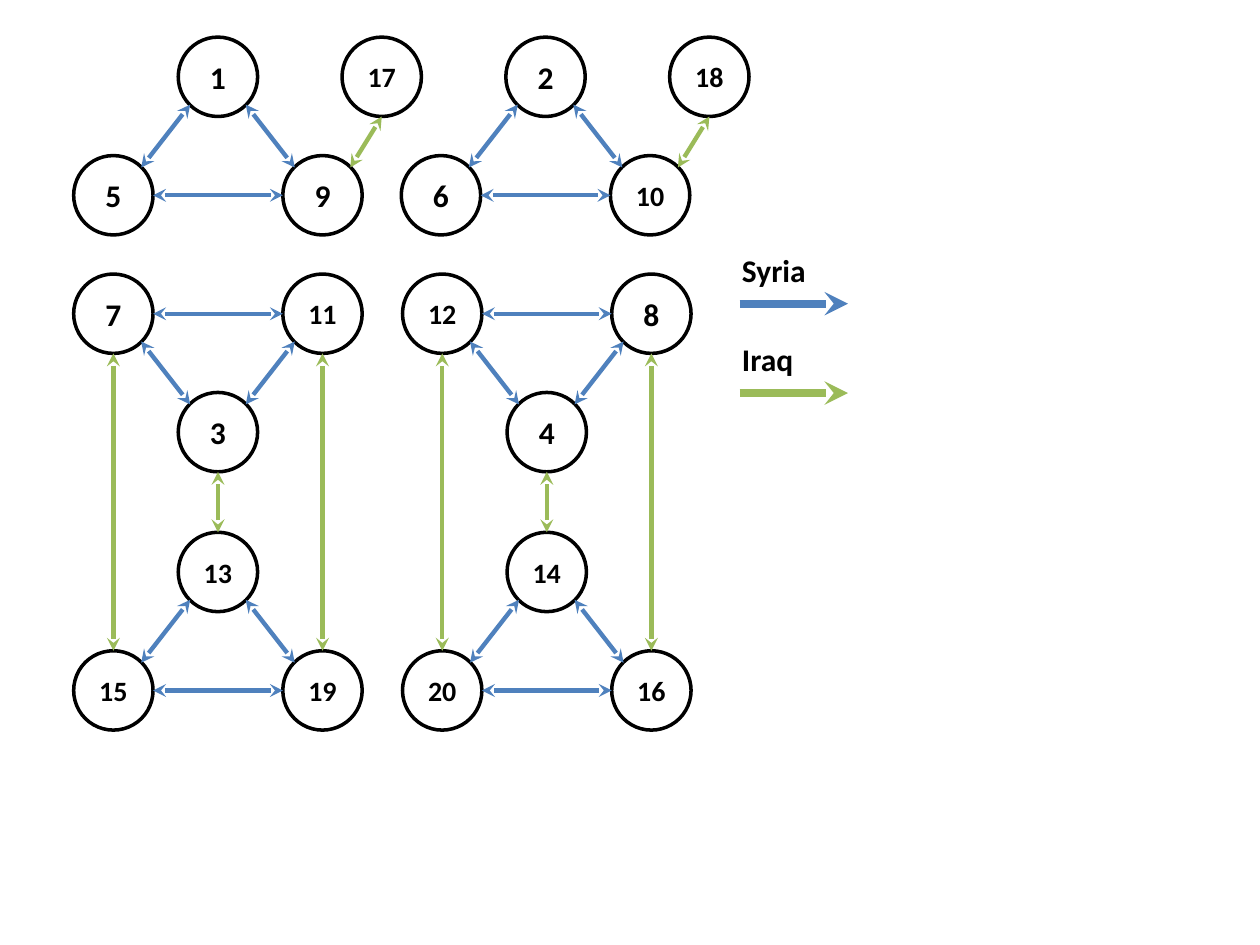
"""Build a slide of three-node rings, with blue links inside rings and green links between them."""
from lxml.etree import SubElement
from pptx import Presentation
from pptx.dml.color import RGBColor
from pptx.enum.shapes import MSO_CONNECTOR as Link, MSO_SHAPE as Shape
from pptx.enum.text import MSO_ANCHOR as Anchor, PP_ALIGN as Align
from pptx.oxml.ns import qn
from pptx.util import Inches, Pt

BLUE, GREEN, BLACK, WHITE = "4F81BD", "9BBB59", "000000", "FFFFFF"
SIZE, SIDE, DIAG = 0.63, 0.83, 0.7
hue = RGBColor.from_string

deck = Presentation()
deck.slide_width, deck.slide_height = Inches(10), Inches(7.5)
slide = deck.slides.add_slide(deck.slide_layouts[6])
shapes = slide.shapes


def arrow(start, end, color, width=2.5, both=True):
    """Draw a straight arrow with one or two stealth heads."""
    line = shapes.add_connector(Link.STRAIGHT, *[Inches(v) for v in (*start, *end)])
    line.line.color.rgb = hue(color)
    line.line.width = Pt(width)
    props = line.line._get_or_add_ln()
    for tag in ["a:headEnd", "a:tailEnd"] if both else ["a:tailEnd"]:
        SubElement(props, qn(tag), type="stealth")
    SubElement(line._element.spPr, qn("a:effectLst"))


def edge(node, way):
    """Return the point on a node's rim in the given direction."""
    return [c + SIZE / 2 * d for c, d in zip(nodes[node], way)]


rings = [
    (1.73, 0.61, 1.55, (1, 5, 9)),
    (4.33, 0.61, 1.55, (2, 6, 10)),
    (1.73, 3.43, 2.49, (3, 7, 11)),
    (4.34, 3.43, 2.49, (4, 12, 8)),
    (1.73, 4.54, 5.48, (13, 15, 19)),
    (4.34, 4.54, 5.48, (14, 20, 16)),
]
nodes = {17: (3.03, 0.61), 18: (5.63, 0.61)}
for x, tip, base, (apex, left, right) in rings:
    nodes[apex] = (x, tip)
    nodes[left] = (x - SIDE, base)
    nodes[right] = (x + SIDE, base)

for name, (x, y) in nodes.items():
    node = shapes.add_shape(Shape.OVAL, Inches(x - SIZE / 2), Inches(y - SIZE / 2),
                            Inches(SIZE), Inches(SIZE))
    node.shadow.inherit = False
    node.fill.solid()
    node.fill.fore_color.rgb = hue(WHITE)
    node.line.color.rgb = hue(BLACK)
    node.line.width = Pt(2)
    frame = node.text_frame
    frame.vertical_anchor = Anchor.MIDDLE
    frame.margin_left = frame.margin_right = 0
    para = frame.paragraphs[0]
    para.text = str(name)
    para.alignment = Align.CENTER
    font = para.font
    font.name, font.size, font.bold = "Calibri", Pt(18 if name < 10 else 16), True
    font.color.rgb = hue(BLACK)

for x, tip, base, (apex, left, right) in rings:
    down = DIAG if base > tip else -DIAG
    arrow(edge(apex, (-DIAG, down)), edge(left, (DIAG, -down)), BLUE)
    arrow(edge(apex, (DIAG, down)), edge(right, (-DIAG, -down)), BLUE)
    arrow(edge(left, (1, 0)), edge(right, (-1, 0)), BLUE)

for low, high in [(13, 3), (19, 11), (15, 7), (14, 4), (16, 8), (20, 12)]:
    arrow(edge(low, (0, -1)), edge(high, (0, 1)), GREEN)
for high, low in [(17, 9), (18, 10)]:
    arrow(edge(high, (0, 1)), edge(low, (DIAG, -DIAG)), GREEN)

for name, y, width, color in [("Syria", 1.94, 0.71, BLUE), ("Iraq", 2.65, 0.61, GREEN)]:
    arrow((5.87, y + 0.47), (6.73, y + 0.47), color, 4.5, False)
    label = shapes.add_textbox(Inches(5.79), Inches(y), Inches(width), Inches(0.4))
    para = label.text_frame.paragraphs[0]
    para.text = name
    font = para.font
    font.name, font.size, font.bold = "Calibri", Pt(18), True
    font.color.rgb = hue(BLACK)

deck.save("out.pptx")
